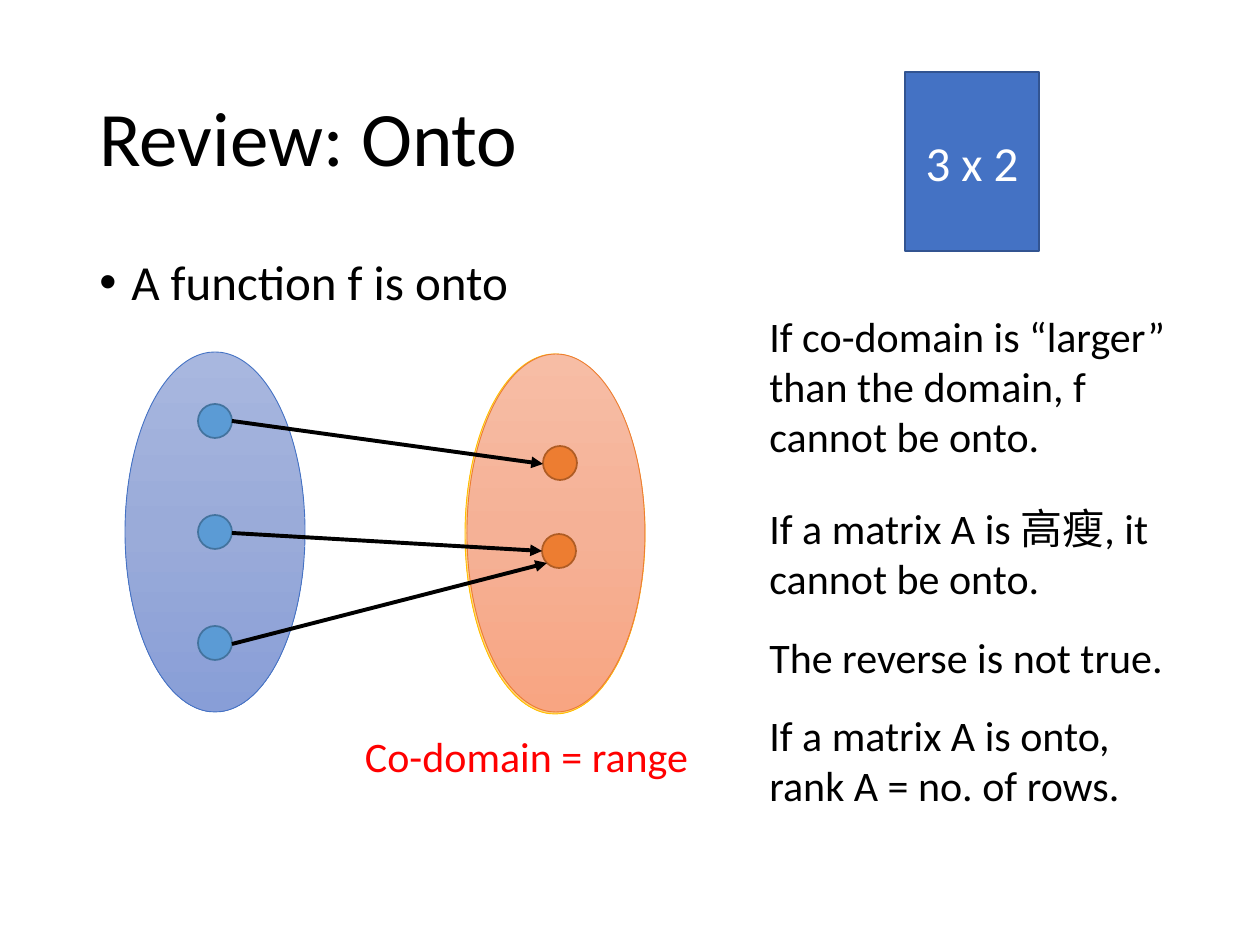
from copy import deepcopy

from lxml.etree import SubElement
from pptx import Presentation
from pptx.dml.color import RGBColor
from pptx.enum.shapes import MSO_CONNECTOR, MSO_SHAPE
from pptx.enum.text import MSO_ANCHOR, MSO_AUTO_SIZE, PP_ALIGN
from pptx.oxml.ns import qn
from pptx.util import Emu, Pt

PX = 7257.14  # 126 px to the inch
FONT = "Calibri"
CJK_FONT = "Noto Sans CJK SC"
BLUE_GRADIENT = ("A8B7DF", "9AABD9", "889ED7")
YELLOW_GRADIENT = ("FFDB9E", "FFD590", "FFD07C")
ORANGE_GRADIENT = ("F7BDA5", "F5B196", "F8A582")
DOT = 34


def px(*lengths):
    return [Emu(round(length * PX)) for length in lengths]


def color(value):
    return RGBColor.from_string(value)


def style_font(font, size, value):
    font.name = FONT
    font.size = Pt(size)
    font.color.rgb = color(value)


def add_text(page, area, lines, size=24, value="000000", spacing=None):
    """Add a text box; each line is a list of run texts."""
    box = page.shapes.add_textbox(*px(*area))
    frame = box.text_frame
    frame.word_wrap = True
    for index, texts in enumerate(lines):
        para = frame.add_paragraph() if index else frame.paragraphs[0]
        for text in texts:
            para.add_run().text = text
        para.line_spacing = spacing
        style_font(para.font, size, value)
    return box


def add_bullet(para, indent):
    props = para._p.get_or_add_pPr()
    props.set("marL", str(indent))
    props.set("indent", str(-indent))
    SubElement(props, qn("a:buFont"), typeface="Arial")
    SubElement(props, qn("a:buChar"), char="•")


def add_shape(shapes, kind, area, line, width):
    shape = shapes.add_shape(kind, *px(*area))
    shape.shadow.inherit = False
    shape.line.color.rgb = color(line)
    shape.line.width = Pt(width)
    return shape


def add_solid(shapes, kind, area, fill, line):
    shape = add_shape(shapes, kind, area, line, 1)
    shape.fill.solid()
    shape.fill.fore_color.rgb = color(fill)
    return shape


def add_set(shapes, area, gradient, line):
    """Add an oval filled from top to bottom with three colours."""
    oval = add_shape(shapes, MSO_SHAPE.OVAL, area, line, 0.5)
    oval.fill.gradient()
    oval.fill.gradient_angle = 270
    first = oval._element.spPr.find(".//" + qn("a:gs"))
    first.addnext(deepcopy(first))
    for stop, value, position in zip(oval.fill.gradient_stops, gradient, (0, 0.5, 1)):
        stop.color.rgb = color(value)
        stop.position = position


def add_arrow(page, start, end):
    arrow = page.shapes.add_connector(MSO_CONNECTOR.STRAIGHT, *px(*start, *end))
    arrow.line.color.rgb = color("000000")
    arrow.line.width = Pt(2.25)
    SubElement(arrow.line._get_or_add_ln(), qn("a:tailEnd"), type="triangle")
    SubElement(arrow._element.spPr, qn("a:effectLst"))


def add_mapping(page):
    add_set(page.shapes, (465, 354, 180, 360), YELLOW_GRADIENT, "FFC000")
    add_set(page.shapes, (467, 354, 178, 358), ORANGE_GRADIENT, "ED7D31")

    domain = page.shapes.add_group_shape().shapes
    add_set(domain, (125, 352, 180, 360), BLUE_GRADIENT, "4472C4")
    for row in range(3):
        add_solid(domain, MSO_SHAPE.OVAL, (198, 404 + 111 * row, DOT, DOT), "5B9BD5", "43739E")
    for left, top in ((543, 446), (542, 534)):
        add_solid(page.shapes, MSO_SHAPE.OVAL, (left, top, DOT, DOT), "ED7D31", "AF5C24")

    for start, end in (
        ((232, 421), (543, 464)),
        ((232, 533), (542, 551)),
        ((232, 644), (547, 563)),
    ):
        add_arrow(page, start, end)


def add_notes(page):
    add_text(page, (757, 304, 454, 165),
             [["If co-domain is “larger” than the domain, f cannot be onto."]])
    matrix = add_text(page, (757, 496, 454, 115),
                      [["If a matrix A is ", "高瘦", ", it cannot be onto."]])
    shape_word = matrix.text_frame.paragraphs[0].runs[1]
    shape_word.font.name = CJK_FONT
    SubElement(shape_word._r.get_or_add_rPr(), qn("a:ea"), typeface=CJK_FONT)
    add_text(page, (757, 625, 427, 63), [["The reverse is not true."]])
    add_text(page, (757, 703, 454, 115),
             [["If a matrix A is onto,"], ["rank A = no. of rows."]])


def add_range_label(page):
    frame = add_text(page, (365, 731, 326, 50), [["Co-domain = range"]], value="FF0000").text_frame
    frame.margin_left = frame.margin_right = frame.margin_top = frame.margin_bottom = 0
    frame.word_wrap = False
    frame.auto_size = MSO_AUTO_SIZE.SHAPE_TO_FIT_TEXT


def add_matrix(page):
    matrix = add_solid(page.shapes, MSO_SHAPE.RECTANGLE, (905, 72, 134, 179), "4472C4", "325491")
    matrix.text_frame.vertical_anchor = MSO_ANCHOR.MIDDLE
    para = matrix.text_frame.paragraphs[0]
    para.text = "3 x 2"
    para.alignment = PP_ALIGN.CENTER
    style_font(para.font, 28, "FFFFFF")


def main():
    deck = Presentation()
    deck.slide_width, deck.slide_height = px(1260, 945)
    page = deck.slides.add_slide(deck.slide_layouts[6])

    title = add_text(page, (87, 50, 1086, 183), [["Review: Onto"]], size=44, spacing=0.9)
    title.text_frame.vertical_anchor = MSO_ANCHOR.MIDDLE

    body = add_text(page, (87, 252, 1086, 600), [[]], spacing=0.9)
    para = body.text_frame.paragraphs[0]
    para.text = "A function f is onto"
    para._p.remove(para._p.get_or_add_pPr())
    para.line_spacing = 0.9
    add_bullet(para, px(32)[0])
    style_font(para.font, 28, "000000")

    add_mapping(page)
    add_notes(page)
    add_range_label(page)
    add_matrix(page)
    deck.save("out.pptx")


if __name__ == "__main__":
    main()
